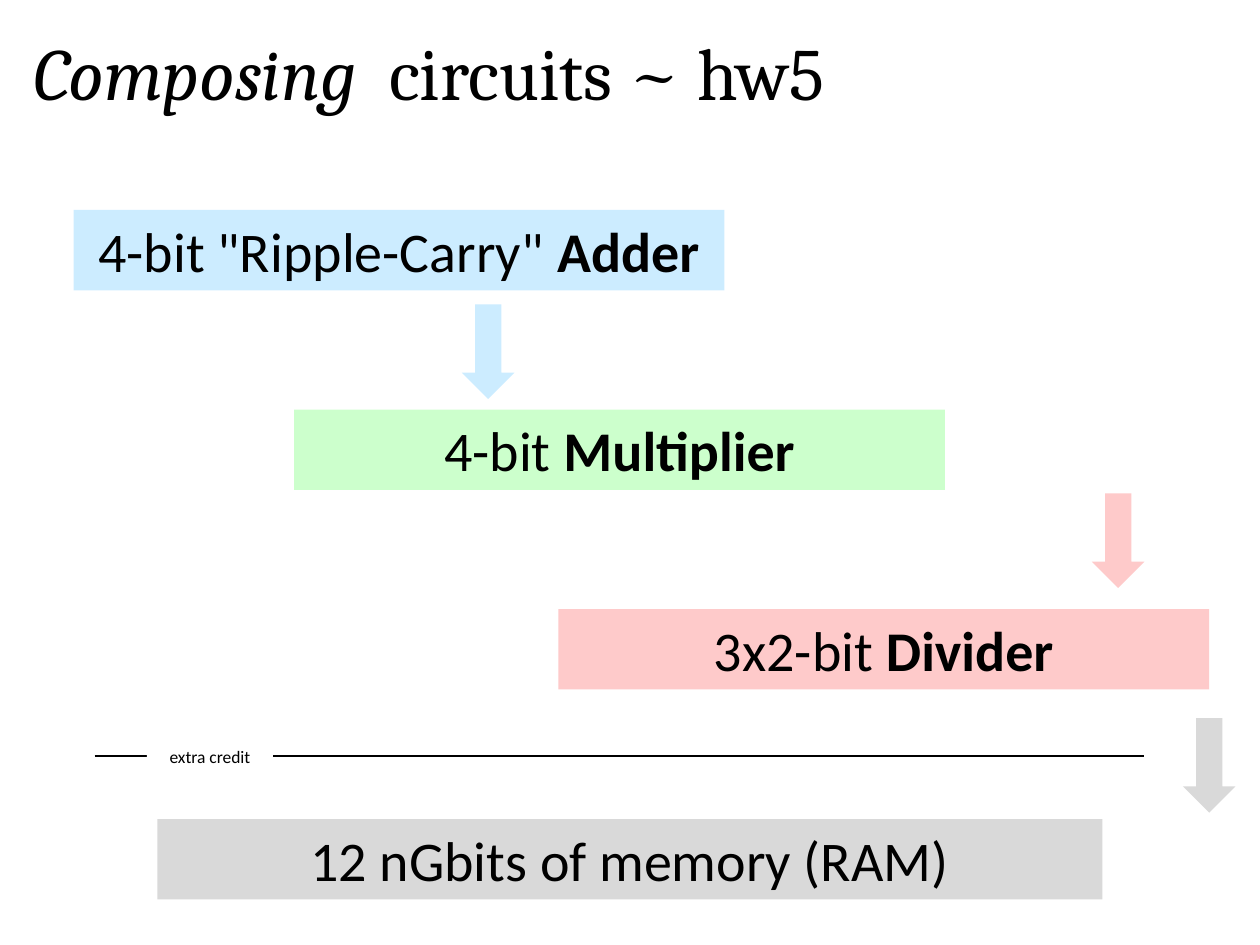
from lxml import etree
from pptx import Presentation
from pptx.dml.color import RGBColor
from pptx.enum.shapes import MSO_CONNECTOR, MSO_SHAPE
from pptx.enum.text import MSO_ANCHOR, MSO_AUTO_SIZE, PP_ALIGN
from pptx.oxml.ns import qn
from pptx.util import Pt

RECT = MSO_SHAPE.RECTANGLE
DOWN = MSO_SHAPE.DOWN_ARROW
LINE = MSO_CONNECTOR.STRAIGHT
LEFT = PP_ALIGN.LEFT
MID = PP_ALIGN.CENTER
TOP = MSO_ANCHOR.TOP
GROW = MSO_AUTO_SIZE.SHAPE_TO_FIT_TEXT

BLACK, WHITE = "000000", "FFFFFF"
BLUE, GREEN, PINK, GREY = "CCECFF", "CCFFCC", "FECACA", "D9D9D9"


def paint(color, tint):
    color.rgb = RGBColor.from_string(tint)


def write(shape, runs, align, style):
    frame = shape.text_frame
    for name, value in {"word_wrap": True, "auto_size": GROW, "vertical_anchor": TOP}.items():
        setattr(frame, name, value)
    para = frame.paragraphs[0]
    para.alignment = align
    for text, extra in runs:
        run = para.add_run()
        run.text = text
        for name, value in {**style, **extra}.items():
            setattr(run.font, name, value)
        paint(run.font.color, BLACK)


deck = Presentation()
deck.slide_width, deck.slide_height = Pt(720), Pt(540)
slide = deck.slides.add_slide(deck.slide_layouts[6])
shapes = slide.shapes

title = shapes.add_textbox(Pt(12), Pt(12), Pt(612), Pt(57.6))
write(title, [("Composing  ", {"italic": True}), ("circuits ~ hw5", {})],
      LEFT, {"name": "Cambria", "size": Pt(42)})

rule = shapes.add_connector(LINE, Pt(54), Pt(432), Pt(654), Pt(432))
rule.line.width = Pt(1.5)
paint(rule.line.color, BLACK)
etree.SubElement(rule._element.spPr, qn("a:effectLst"))

big = {"name": "Calibri", "size": Pt(32)}
small = {"name": "Calibri", "size": Pt(10)}
bold = {"bold": True}
boxes = [
    (42, 120, 372, 46, BLUE, big, [('4-bit "Ripple-Carry" ', {}), ("Adder", bold)]),
    (168, 234, 372, 46, GREEN, big, [("4-bit ", {}), ("Multiplier", bold)]),
    (319, 348, 372, 46, PINK, big, [("3x2-bit ", {}), ("Divider", bold)]),
    (90, 468, 540, 46, GREY, big, [("12 nGbits of memory (RAM)", {})]),
    (84, 422.6, 72, 19.4, WHITE, small, [("extra credit", {})]),
]
arrows = [(264, 174, BLUE), (624, 282, PINK), (676, 410.4, GREY)]
parts = [(RECT, *box) for box in boxes]
parts += [(DOWN, x, y, 30, 54, tint, None, []) for x, y, tint in arrows]

for kind, x, y, width, height, tint, style, runs in parts:
    shape = shapes.add_shape(kind, Pt(x), Pt(y), Pt(width), Pt(height))
    shape.shadow.inherit = False
    shape.fill.solid()
    paint(shape.fill.fore_color, tint)
    shape.line.fill.background()
    if runs:
        write(shape, runs, MID, style)

deck.save("out.pptx")
